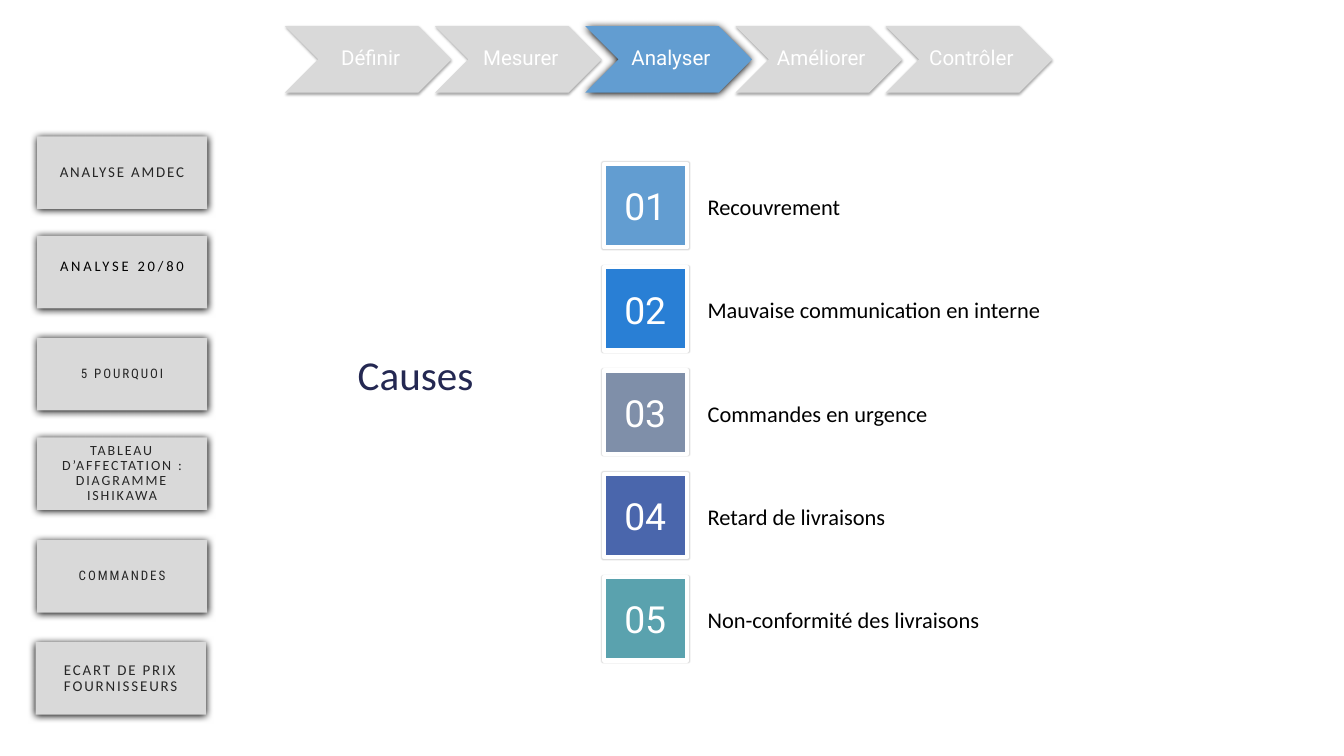
import copy

import lxml.etree
import pptx
import pptx.dml.color
import pptx.enum.shapes
import pptx.enum.text
import pptx.oxml.ns
import pptx.util

Cm = pptx.util.Cm
Pt = pptx.util.Pt
RGB = pptx.dml.color.RGBColor
qn = pptx.oxml.ns.qn
SHAPE = pptx.enum.shapes.MSO_SHAPE
ALIGN = pptx.enum.text.PP_ALIGN
MIDDLE = pptx.enum.text.MSO_ANCHOR.MIDDLE

WHITE = RGB(0xFF, 0xFF, 0xFF)
BLACK = RGB(0x00, 0x00, 0x00)
CHARCOAL = RGB(0x26, 0x26, 0x26)
GREY = RGB(0xD9, 0xD9, 0xD9)
NAVY = RGB(0x24, 0x28, 0x52)
SKY = RGB(0x62, 0x9D, 0xD1)
BLUE = RGB(0x29, 0x7F, 0xD5)
SLATE = RGB(0x7F, 0x8F, 0xA9)
INDIGO = RGB(0x4A, 0x66, 0xAC)
TEAL = RGB(0x5A, 0xA2, 0xAE)

STRONG_SHADOW = (100, 8.5, 1, 90)
SOFT_SHADOW = (35, 3.1, 1.8, 90)
TILE_SHADOW = (15, 1, 0, 0)

STEPS = ["Définir", "Mesurer", "Analyser", "Améliorer", "Contrôler"]
CURRENT_STEP = "Analyser"

CAUSES = [
    ("Recouvrement", SKY),
    ("Mauvaise communication en interne", BLUE),
    ("Commandes en urgence", SLATE),
    ("Retard de livraisons", INDIGO),
    ("Non-conformité des livraisons", TEAL),
]

TOOLS = [
    (0.05, 0, "ANALYSE AMDEC", 16, "Calibri", CHARCOAL, 2),
    (0.05, 3.76, "ANALYSE 20/80", 15.6, "Calibri", BLACK, 3),
    (0.05, 7.62, "5 POURQUOI", 14, "Roboto Condensed", CHARCOAL, 2),
    (0.05, 11.38, "TABLEAU D’AFFECTATION :\nDIAGRAMME ISHIKAWA", 15, "Calibri", CHARCOAL, 2),
    (0.05, 15.26, "COMMANDES", 14, "Roboto Condensed", CHARCOAL, 2),
    (0, 19.12, "ECART DE PRIX FOURNISSEURS", 16, "Calibri", CHARCOAL, 2),
]


def add_block(shapes, preset, box, color, shadow):
    block = shapes.add_shape(preset, *box)
    block.fill.solid()
    block.fill.fore_color.rgb = color
    block.line.fill.background()
    block.shadow.inherit = False
    opacity, blur, distance, angle = shadow
    effects = block.element.spPr.find(qn("a:effectLst"))
    outer = lxml.etree.SubElement(
        effects, qn("a:outerShdw"), blurRad=str(Pt(blur)), dist=str(Pt(distance)),
        dir=str(angle * 60000), algn="ctr", rotWithShape="0")
    tint = lxml.etree.SubElement(outer, qn("a:srgbClr"), val=str(BLACK))
    lxml.etree.SubElement(tint, qn("a:alpha"), val=str(opacity * 1000))
    return block


def write(holder, text, size, font, color, align=ALIGN.CENTER, line_spacing=None, tracking=0):
    frame = holder.text_frame
    frame.word_wrap = True
    frame.auto_size = pptx.enum.text.MSO_AUTO_SIZE.NONE
    frame.vertical_anchor = MIDDLE
    frame.text = text
    for paragraph in frame.paragraphs:
        properties = paragraph._p.get_or_add_pPr()
        properties.set("marL", "0")
        properties.set("indent", "0")
        lxml.etree.SubElement(properties, qn("a:buNone"))
        paragraph.alignment = align
        paragraph.space_before = Pt(0)
        if line_spacing:
            paragraph.line_spacing = line_spacing
        paragraph.font.size = Pt(size)
        paragraph.font.name = font
        paragraph.font.color.rgb = color
        if tracking:
            properties.find(qn("a:defRPr")).set("spc", str(tracking * 100))
    return frame


def set_margins(frame, left, top, right, bottom):
    frame.margin_left, frame.margin_top = Cm(left), Cm(top)
    frame.margin_right, frame.margin_bottom = Cm(right), Cm(bottom)


def place(holder, left, top, width, height):
    holder.left, holder.top = left, top
    holder.width, holder.height = width, height


def extend_layout(layout, count):
    body = layout.placeholders[1].element
    for extra in range(1, count):
        twin = copy.deepcopy(body)
        twin.find(".//" + qn("p:ph")).set("idx", str(20 + extra))
        twin.find(".//" + qn("p:cNvPr")).set("id", str(20 + extra))
        body.getparent().append(twin)


def build_steps(slide, left, top, width, height):
    shapes = slide.shapes.add_group_shape().shapes
    chevron_width = Cm(6.3)
    pitch = (width - chevron_width) // (len(STEPS) - 1)
    for index, step in enumerate(STEPS):
        current = step == CURRENT_STEP
        x = left + index * pitch
        add_block(shapes, SHAPE.CHEVRON, (x, top, chevron_width, height),
                  SKY if current else GREY, STRONG_SHADOW if current else SOFT_SHADOW)
        label = shapes.add_textbox(x + Cm(1.26), top, Cm(3.78), height)
        frame = write(label, step, 22, "Roboto", WHITE, line_spacing=0.9)
        set_margins(frame, 0.25, 0.08, 0.08, 0.08)


def build_tools(slide, left, top, width, height):
    for dx, dy, name, size, font, color, tracking in TOOLS:
        card = add_block(slide.shapes, SHAPE.RECTANGLE,
                         (left + Cm(dx), top + Cm(dy), width, height), GREY, STRONG_SHADOW)
        frame = write(card, name, size, font, color, line_spacing=0.9, tracking=tracking)
        set_margins(frame, 0.5, 0.5, 0.5, 0.9 if name == "ANALYSE 20/80" else 0.5)


def build_causes(slide, left, top, width, height):
    tile_size = Cm(3.15)
    pitch = (height - tile_size) // (len(CAUSES) - 1)
    entries = list(slide.placeholders)[1:]
    for index, ((cause, color), entry) in enumerate(zip(CAUSES, entries)):
        y = top + index * pitch
        tile = add_block(slide.shapes, SHAPE.RECTANGLE, (left, y, tile_size, tile_size),
                         color, TILE_SHADOW)
        tile.line.color.rgb = WHITE
        tile.line.width = Pt(4.5)
        number = slide.shapes.add_textbox(left + Cm(0.33), y + Cm(0.6), Cm(2.46), Cm(1.96))
        write(number, f"{index + 1:02d}", 40, "Roboto", WHITE)
        place(entry, left + Cm(3.66), y + Cm(0.03), width - Cm(3.66), tile_size)
        write(entry, cause, 24, "Calibri", BLACK, ALIGN.LEFT)


def build_heading(slide, left, top, width, height):
    heading = slide.shapes.title
    place(heading, left, top, width, height)
    write(heading, "Causes", 44, "Calibri", NAVY)


def main():
    deck = pptx.Presentation()
    deck.slide_width, deck.slide_height = Cm(50.8), Cm(28.58)
    layout = deck.slide_layouts[1]
    extend_layout(layout, len(CAUSES))
    slide = deck.slides.add_slide(layout)
    build_causes(slide, Cm(22.83), Cm(6.2), Cm(25.48), Cm(18.77))
    build_heading(slide, Cm(11.28), Cm(11.15), Cm(8.86), Cm(5.99))
    build_steps(slide, Cm(10.77), Cm(0.99), Cm(29.01), Cm(2.51))
    build_tools(slide, Cm(1.35), Cm(5.16), Cm(6.43), Cm(2.74))
    deck.save("out.pptx")


if __name__ == "__main__":
    main()
